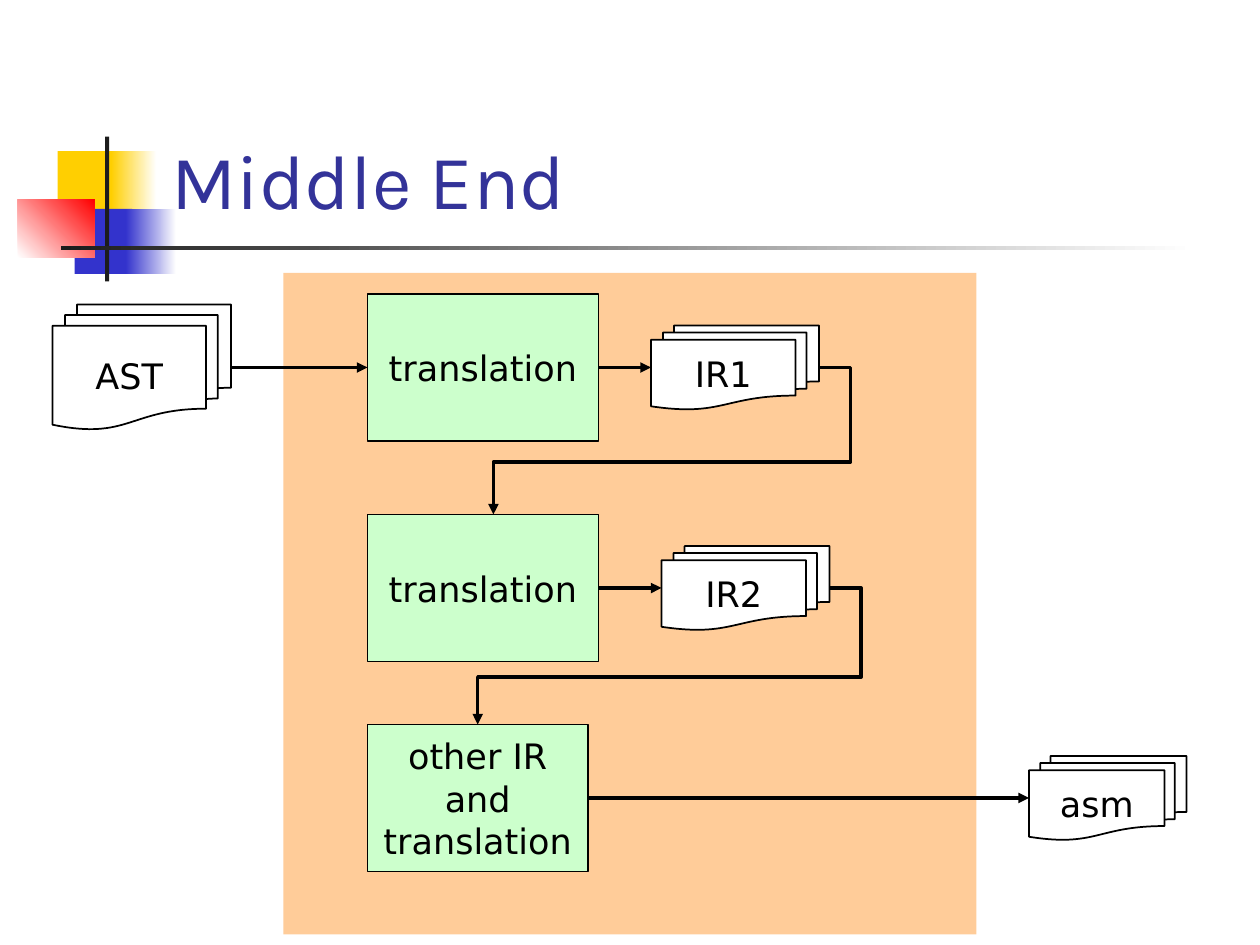
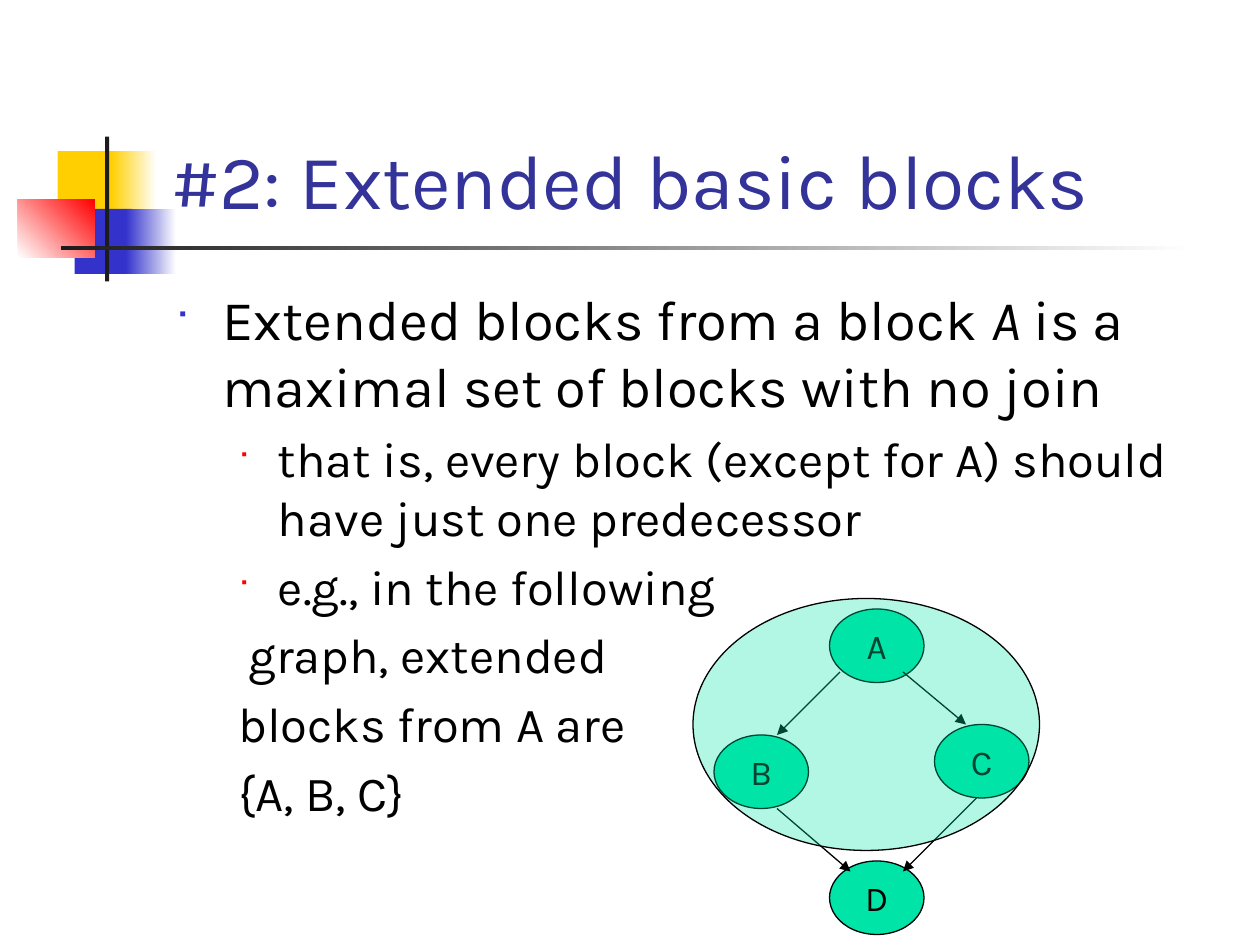
from lxml.etree import SubElement
from pptx import Presentation
from pptx.dml.color import RGBColor
from pptx.enum.shapes import MSO_CONNECTOR as Connector, MSO_SHAPE as Shape
from pptx.enum.text import MSO_ANCHOR as Anchor, MSO_AUTO_SIZE as AutoSize, PP_ALIGN as Align
from pptx.oxml.ns import qn
from pptx.util import Emu, Pt

EMU_PER_PX = 914400 // 120
TITLE_FONT, DIAGRAM_FONT = "Karla", "DejaVu Sans"
BLACK, WHITE, INK = "000000", "FFFFFF", "1C1C1C"
YELLOW, BLUE, RED, TITLE_BLUE = "FFCF01", "3333CC", "FF0000", "333399"
STAGE_GREEN, PANEL_ORANGE, NODE_GREEN = "CCFFCC", "FFCC99", "00E4A8"
BULLETS = {0: (BLUE, 60), 1: (RED, 55)}
INDENTS = {0: (45, -45), 1: (98, -38)}
SIZES = {0: 32, 1: 28}


def px(length):
    return Emu(length * EMU_PER_PX)


def box_of(lengths):
    return [px(length) for length in lengths]


def color(hex_code):
    return RGBColor.from_string(hex_code)


def style_font(font, size, name, ink=BLACK):
    font.size, font.name = Pt(size), name
    font.color.rgb = color(ink)


def add_block(slide, kind, box, fill, line_width=0):
    block = slide.shapes.add_shape(kind, *box_of(box))
    block.shadow.inherit = False
    block.fill.solid()
    block.fill.fore_color.rgb = color(fill)
    if line_width:
        block.line.color.rgb = color(BLACK)
        block.line.width = Pt(line_width)
    else:
        block.line.fill.background()
    return block


def add_fade(slide, box, start, end, angle=0):
    fade = add_block(slide, Shape.RECTANGLE, box, start)
    fade.fill.gradient()
    fade.fill.gradient_angle = angle
    for stop, shade in zip(fade.fill.gradient_stops, (start, end)):
        stop.color.rgb = color(shade)


def add_label(block, label, font_name):
    frame = block.text_frame
    frame.text = label
    frame.vertical_anchor = Anchor.MIDDLE
    paragraph = frame.paragraphs[0]
    paragraph.alignment = Align.CENTER
    style_font(paragraph.runs[0].font, 20, font_name)


def add_stage(slide, label, box):
    stage = add_block(slide, Shape.FLOWCHART_PROCESS, box, STAGE_GREEN, 1)
    add_label(stage, label, DIAGRAM_FONT)


def add_documents(slide, label, box):
    documents = add_block(slide, Shape.FLOWCHART_MULTIDOCUMENT, box, WHITE, 1)
    add_label(documents, label, DIAGRAM_FONT)


def add_node(slide, label, left, top):
    node = add_block(slide, Shape.OVAL, (left, top, 90, 70), NODE_GREEN, 0.75)
    add_label(node, label, TITLE_FONT)
    node.text_frame.word_wrap = False


def add_arrow(slide, start, end, width, kind=Connector.STRAIGHT):
    arrow = slide.shapes.add_connector(kind, *box_of(start + end))
    arrow.line.color.rgb = color(BLACK)
    arrow.line.width = Pt(width)
    properties = arrow.element.spPr
    SubElement(properties.find(qn("a:ln")), qn("a:tailEnd"), type="triangle")
    SubElement(properties, qn("a:effectLst"))
    return arrow


def add_return_arrow(slide, start, end, out_x, turn_y):
    """Run right to out_x, down to turn_y, back left, then down to the end."""
    arrow = add_arrow(slide, start, end, 2, Connector.ELBOW)
    geometry = arrow.element.spPr.find(qn("a:prstGeom"))
    geometry.set("prst", "bentConnector4")
    guides = geometry.find(qn("a:avLst"))
    for number, (via, first, last) in enumerate(zip((out_x, turn_y), start, end), 1):
        share = round(100000 * (via - first) / (last - first))
        SubElement(guides, qn("a:gd"), name=f"adj{number}", fmla=f"val {share}")


def add_titled_slide(deck, heading):
    slide = deck.slides.add_slide(deck.slide_layouts[5])
    add_block(slide, Shape.RECTANGLE, (55, 144, 58, 62), YELLOW)
    add_fade(slide, (106, 144, 43, 62), YELLOW, WHITE)
    add_block(slide, Shape.RECTANGLE, (71, 199, 55, 62), BLUE)
    add_fade(slide, (120, 199, 48, 62), BLUE, WHITE)
    add_fade(slide, (17, 190, 73, 55), WHITE, RED, angle=45)
    add_block(slide, Shape.RECTANGLE, (100, 130, 4, 138), INK)
    add_fade(slide, (58, 234, 1080, 4), INK, WHITE)

    title = slide.shapes.title
    title.left, title.top, title.width, title.height = box_of((151, 28, 1022, 192))
    frame = title.text_frame
    frame.text = heading
    frame.auto_size = AutoSize.NONE
    frame.vertical_anchor = Anchor.BOTTOM
    frame.paragraphs[0].alignment = Align.LEFT
    style_font(frame.paragraphs[0].runs[0].font, 44, TITLE_FONT, TITLE_BLUE)
    title.element.getparent().append(title.element)
    return slide


def set_indent(paragraph, level, bulleted, shift):
    margin, hanging = INDENTS[level]
    properties = paragraph._p.get_or_add_pPr()
    properties.set("marL", str(px(margin)))
    properties.set("indent", str(px(hanging + shift)))
    if bulleted:
        ink, percent = BULLETS[level]
        tint = SubElement(properties, qn("a:buClr"))
        SubElement(tint, qn("a:srgbClr"), val=ink)
        SubElement(properties, qn("a:buSzPct"), val=str(percent * 1000))
        SubElement(properties, qn("a:buFont"), typeface="Wingdings")
        SubElement(properties, qn("a:buChar"), char="■")


def add_body(slide, box, points):
    """Each point is (level, bulleted, first-line shift, text pieces); odd pieces are italic."""
    frame = slide.shapes.add_textbox(*box_of(box)).text_frame
    frame.word_wrap = True
    for index, (level, bulleted, shift, pieces) in enumerate(points):
        paragraph = frame.add_paragraph() if index else frame.paragraphs[0]
        paragraph.level = level
        set_indent(paragraph, level, bulleted, shift)
        if index:
            paragraph.space_before = Pt(SIZES[level] * 0.2)
        for position, piece in enumerate(pieces):
            run = paragraph.add_run()
            run.text = piece
            style_font(run.font, SIZES[level], TITLE_FONT)
            run.font.italic = position % 2 == 1


def build_middle_end(deck):
    slide = add_titled_slide(deck, "Middle End")
    add_block(slide, Shape.RECTANGLE, (270, 260, 660, 630), PANEL_ORANGE)
    add_documents(slide, "AST", (50, 290, 170, 119))
    add_stage(slide, "translation", (350, 280, 220, 140))
    add_documents(slide, "IR1", (620, 310, 160, 80))
    add_stage(slide, "translation", (350, 490, 220, 140))
    add_documents(slide, "IR2", (630, 520, 160, 80))
    add_stage(slide, "other IR and translation", (350, 690, 210, 140))
    add_documents(slide, "asm", (980, 720, 150, 80))

    for y, left, right in ((350, 220, 350), (350, 570, 620), (560, 570, 630), (760, 560, 980)):
        add_arrow(slide, (left, y), (right, y), 2)
    add_return_arrow(slide, (780, 350), (470, 490), out_x=810, turn_y=440)
    add_return_arrow(slide, (790, 560), (455, 690), out_x=820, turn_y=645)


def build_extended_blocks(deck):
    slide = add_titled_slide(deck, "#2: Extended basic blocks")
    add_body(slide, (155, 265, 1020, 540), [
        (0, True, 0, ["Extended blocks from a block ", "A",
                      " is a maximal set of blocks with no join"]),
        (1, True, 0, ["that is, every block (except for A) should have just one predecessor"]),
        (1, True, 0, ["e.g., in the following"]),
        (1, False, 10, ["graph, extended"]),
        (1, False, 0, ["blocks from A are"]),
        (1, False, 0, ["{A, B, C}"]),
    ])
    for label, left, top in (("A", 790, 580), ("B", 680, 700), ("C", 890, 690), ("D", 790, 820)):
        add_node(slide, label, left, top)
    for start, end in (((800, 640), (740, 700)), ((860, 640), (920, 690)),
                       ((740, 770), (810, 830)), ((930, 760), (860, 830))):
        add_arrow(slide, start, end, 0.75)
    extended_set = add_block(slide, Shape.OVAL, (660, 570, 330, 240), NODE_GREEN, 0.75)
    tint = extended_set.element.spPr.find(qn("a:solidFill")).find(qn("a:srgbClr"))
    SubElement(tint, qn("a:alpha"), val="30000")


def main():
    deck = Presentation()
    deck.slide_width, deck.slide_height = px(1200), px(900)
    build_middle_end(deck)
    build_extended_blocks(deck)
    deck.save("out.pptx")


if __name__ == "__main__":
    main()
